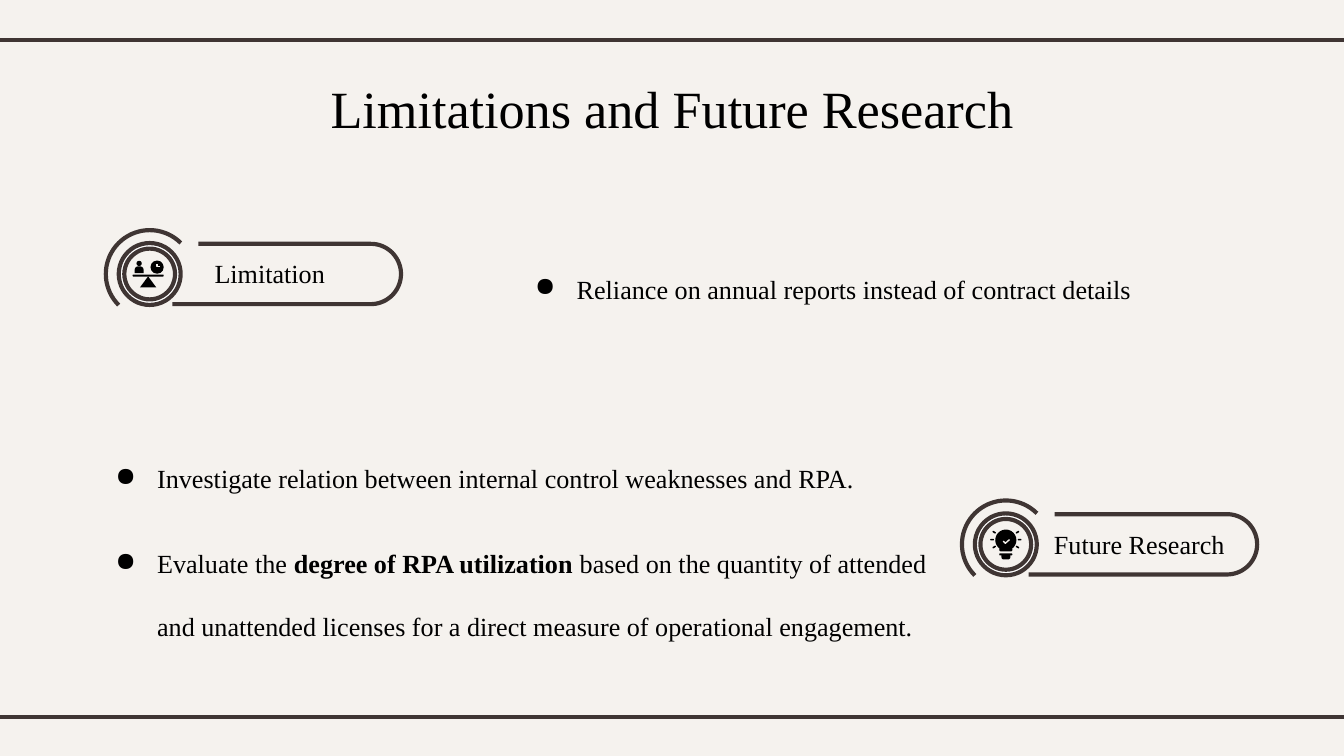
from dataclasses import dataclass
from math import cos, radians, sin

from lxml import etree
from pptx import Presentation
from pptx.dml.color import RGBColor
from pptx.enum.shapes import MSO_CONNECTOR, MSO_SHAPE
from pptx.enum.text import MSO_ANCHOR, MSO_AUTO_SIZE, PP_ALIGN
from pptx.oxml.ns import qn
from pptx.util import Cm, Pt

OVAL, ROUNDED, DOME = MSO_SHAPE.OVAL, MSO_SHAPE.ROUNDED_RECTANGLE, MSO_SHAPE.ROUND_2_SAME_RECTANGLE
TRIANGLE, DONUT = MSO_SHAPE.ISOSCELES_TRIANGLE, MSO_SHAPE.DONUT
STRAIGHT = MSO_CONNECTOR.STRAIGHT
COLORS = {"paper": "F5F2EE", "line": "3F3533", "ink": "000000", "ring": "FFFFFF"}
FONT = "Times New Roman"
Point = tuple[float, float]


@dataclass
class Glyph:
    kind: int
    x: float
    y: float
    width: float
    height: float
    rotation: float = 0


@dataclass
class Badge:
    label: str
    x: float
    y: float
    label_width: float
    glyphs: list[Glyph]
    mark: list[Point]


@dataclass
class BulletBox:
    left: float
    top: float
    width: float
    height: float
    paragraphs: list[list[tuple[str, bool]]]


def color(name: str) -> RGBColor:
    return RGBColor.from_string(COLORS[name])


def add_span(para, text: str, size: float, bold: bool = False) -> None:
    span = para.add_run()
    span.text = text
    span.font.name = FONT
    span.font.size = Pt(size)
    span.font.bold = bold
    span.font.color.rgb = color("ink")


def arc(x: float, y: float, radius: float, start: int, end: int) -> list[Point]:
    step = 5 if end > start else -5
    return [(x + radius * cos(radians(a)), y + radius * sin(radians(a)))
            for a in range(start, end + step, step)]


def draw_outline(shapes, points: list[Point], line: str, weight: float) -> None:
    (first_x, first_y), *rest = [(Cm(x), Cm(y)) for x, y in points]
    builder = shapes.build_freeform(first_x, first_y)
    builder.add_line_segments(rest, close=False)
    shape = builder.convert_to_shape()
    shape.shadow.inherit = False
    shape.fill.background()
    shape.line.color.rgb = color(line)
    shape.line.width = Pt(weight)


def draw_glyph(shapes, glyph: Glyph, x: float, y: float):
    shape = shapes.add_shape(
        glyph.kind, Cm(x + glyph.x - glyph.width / 2), Cm(y + glyph.y - glyph.height / 2),
        Cm(glyph.width), Cm(glyph.height))
    shape.rotation = glyph.rotation
    shape.shadow.inherit = False
    shape.fill.solid()
    shape.fill.fore_color.rgb = color("ink")
    shape.line.fill.background()
    if glyph.kind in (ROUNDED, DOME):
        shape.adjustments[0] = 0.5
    return shape


def draw_badge(page, badge: Badge) -> None:
    shapes = page.shapes.add_group_shape().shapes
    x, y = badge.x, badge.y
    pill = [(x + 0.43, y + 0.57), *arc(x + 4.18, y, 0.57, 90, -90), (x + 0.92, y - 0.57)]
    draw_outline(shapes, pill, "line", 2.25)
    ring = draw_glyph(shapes, Glyph(DONUT, 0, 0, 1.17, 1.17), x, y)
    ring.adjustments[0] = 0.09
    ring.fill.fore_color.rgb = color("ring")
    ring.line.color.rgb = color("line")
    ring.line.width = Pt(2.25)
    draw_outline(shapes, arc(x, y, 0.83, 135, 315), "line", 2.25)

    box = shapes.add_textbox(Cm(x + 0.58), Cm(y - 0.43), Cm(badge.label_width), Cm(0.86))
    box.text_frame.word_wrap = True
    para = box.text_frame.paragraphs[0]
    para.alignment = PP_ALIGN.CENTER
    add_span(para, badge.label, 14)

    for glyph in badge.glyphs:
        draw_glyph(shapes, glyph, x, y)
    draw_outline(shapes, [(x + dx, y + dy) for dx, dy in badge.mark], "paper", 0.75)


def draw_bullets(page, bullets: BulletBox) -> None:
    box = page.shapes.add_textbox(
        Cm(bullets.left), Cm(bullets.top), Cm(bullets.width), Cm(bullets.height))
    frame = box.text_frame
    frame.word_wrap = True
    frame.margin_top = frame.margin_bottom = Cm(0.25)
    for index, spans in enumerate(bullets.paragraphs):
        para = frame.add_paragraph() if index else frame.paragraphs[0]
        para.line_spacing = 2.0
        para.space_after = Pt(12)
        properties = para._p.get_or_add_pPr()
        properties.set("marL", str(Cm(0.79)))
        properties.set("indent", str(-Cm(0.79)))
        bullet_color = etree.SubElement(properties, qn("a:buClr"))
        etree.SubElement(bullet_color, qn("a:srgbClr"), val=COLORS["ink"])
        etree.SubElement(properties, qn("a:buChar"), char="●")
        for text, bold in spans:
            add_span(para, text, 14, bold)


def draw_rule(page, y: float) -> None:
    rule = page.shapes.add_connector(STRAIGHT, Cm(-0.2), Cm(y), Cm(25.6), Cm(y))
    rule.line.color.rgb = color("line")
    rule.line.width = Pt(2.25)
    etree.SubElement(rule._element.spPr, qn("a:effectLst"))


def draw_title(page, text: str) -> None:
    title = page.shapes.title
    title.left, title.top, title.width, title.height = Cm(0.84), Cm(1.19), Cm(23.72), Cm(1.6)
    frame = title.text_frame
    frame.auto_size = MSO_AUTO_SIZE.NONE
    frame.vertical_anchor = MSO_ANCHOR.TOP
    frame.margin_top = frame.margin_bottom = Cm(0.25)
    para = frame.paragraphs[0]
    para.alignment = PP_ALIGN.CENTER
    add_span(para, text, 28)


SCALES = [
    Glyph(ROUNDED, -0.03, 0.03, 0.59, 0.04),
    Glyph(TRIANGLE, -0.03, 0.15, 0.31, 0.21),
    Glyph(OVAL, 0.14, -0.13, 0.25, 0.25),
    Glyph(OVAL, -0.2, -0.2, 0.1, 0.1),
    Glyph(DOME, -0.2, -0.08, 0.17, 0.13),
]
RAYS = [Glyph(ROUNDED, side * dx, dy, 0.07, 0.03, side * turn)
        for side in (-1, 1)
        for dx, dy, turn in ((0.26, -0.09, 0), (0.22, -0.23, -30), (0.22, 0.05, 30))]
BULB = RAYS + [
    Glyph(OVAL, 0, -0.08, 0.4, 0.4),
    Glyph(ROUNDED, 0, 0.1, 0.25, 0.07),
    Glyph(ROUNDED, 0, 0.19, 0.25, 0.04),
    Glyph(DOME, 0, 0.24, 0.17, 0.09, 180),
]
BADGES = [
    Badge("Limitation", 2.83, 5.18, 3.38, SCALES, [(0.14, -0.19), (0.14, -0.14), (0.19, -0.14)]),
    Badge("Future Research", 19.01, 10.29, 3.89, BULB,
          [(-0.05, -0.06), (-0.01, -0.02), (0.07, -0.09)]),
]
BULLETS = [
    BulletBox(9.86, 4.32, 14.71, 1.73,
              [[("Reliance on annual reports instead of contract details", False)]]),
    BulletBox(1.93, 7.9, 16.05, 4.85, [
        [("Investigate relation between internal control weaknesses and RPA.", False)],
        [("Evaluate the ", False), ("degree of RPA utilization ", True),
         ("based on the quantity of attended and unattended licenses for a direct measure "
          "of operational engagement.", False)],
    ]),
]


def main() -> None:
    deck = Presentation()
    deck.slide_width, deck.slide_height = Cm(25.4), Cm(14.29)
    page = deck.slides.add_slide(deck.slide_layouts[5])
    page.background.fill.solid()
    page.background.fill.fore_color.rgb = color("paper")
    for y in (0.76, 13.55):
        draw_rule(page, y)
    draw_title(page, "Limitations and Future Research")
    for bullets in BULLETS:
        draw_bullets(page, bullets)
    for badge in BADGES:
        draw_badge(page, badge)
    deck.save("out.pptx")


if __name__ == "__main__":
    main()
